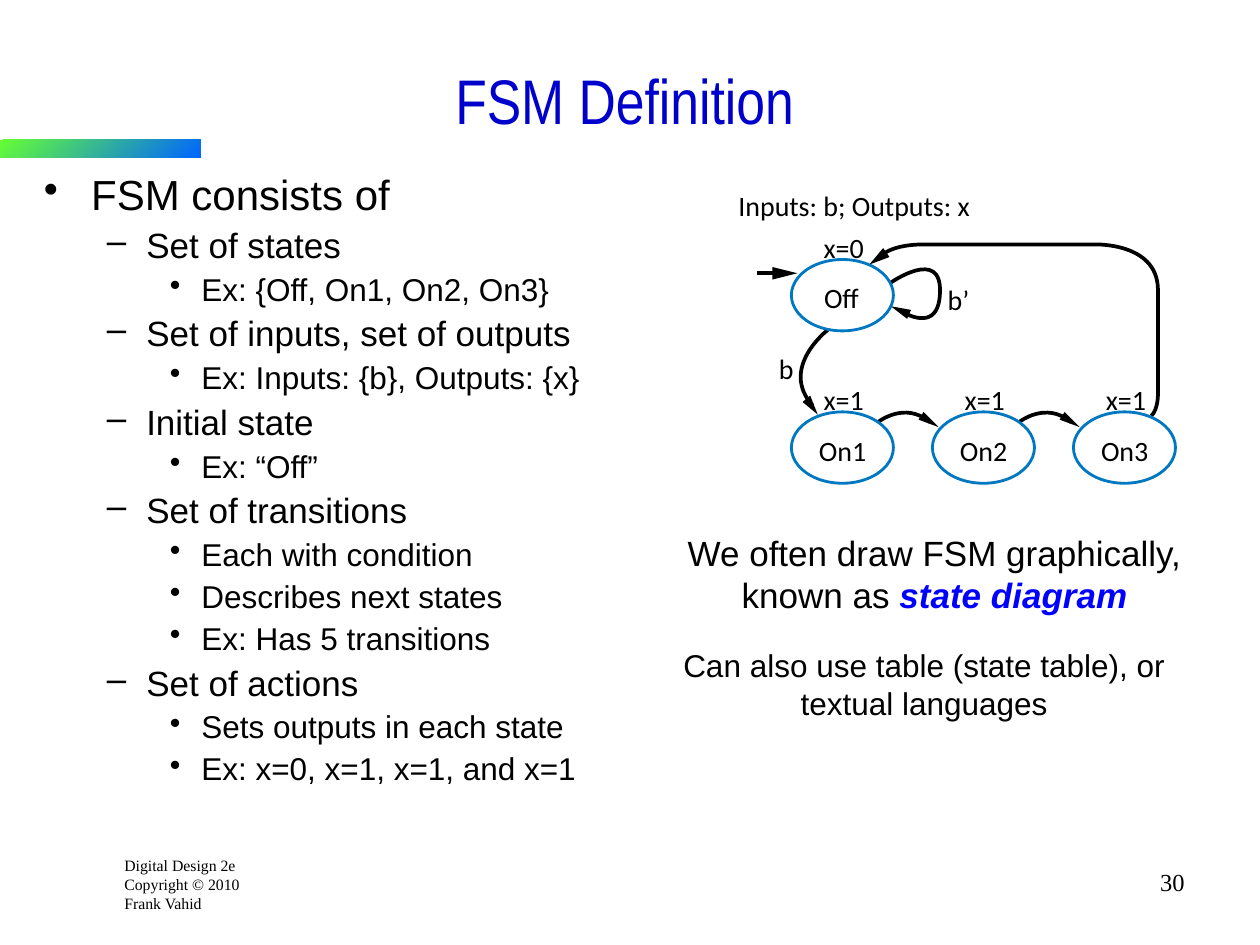
from lxml import etree
from pptx import Presentation
from pptx.dml.color import RGBColor
from pptx.enum.shapes import MSO_CONNECTOR, MSO_SHAPE
from pptx.enum.text import MSO_ANCHOR, MSO_AUTO_SIZE, PP_ALIGN
from pptx.oxml.ns import qn
from pptx.util import Pt

LEFT, CENTER, RIGHT = PP_ALIGN.LEFT, PP_ALIGN.CENTER, PP_ALIGN.RIGHT
TOP, MIDDLE = MSO_ANCHOR.TOP, MSO_ANCHOR.MIDDLE
GROW = MSO_AUTO_SIZE.SHAPE_TO_FIT_TEXT
RECT, OVAL = MSO_SHAPE.RECTANGLE, MSO_SHAPE.OVAL
STRAIGHT = MSO_CONNECTOR.STRAIGHT

COLORS = {"ink": "000000", "title": "0000CC", "term": "0000FF",
          "state": "0078C1", "green": "66FF33", "blue": "0066FF"}
LEVELS = [(24, 27, -27, 6, "•"), (20, 58.5, -22.5, 5, "–"), (18, 90, -18, 4.5, "•")]
OUTLINE = [
    (0, "FSM consists of"),
    (1, "Set of states"),
    (2, "Ex: {Off, On1, On2, On3}"),
    (1, "Set of inputs, set of outputs"),
    (2, "Ex: Inputs: {b}, Outputs: {x}"),
    (1, "Initial state"),
    (2, "Ex: “Off”"),
    (1, "Set of transitions"),
    (2, "Each with condition"),
    (2, "Describes next states"),
    (2, "Ex: Has 5 transitions"),
    (1, "Set of actions"),
    (2, "Sets outputs in each state"),
    (2, "Ex: x=0, x=1, x=1, and x=1"),
]


def color(name):
    """Return the named colour."""
    return RGBColor.from_string(COLORS[name])


def style(run, size, font, tint="ink"):
    """Set the size, face and colour of a run."""
    run.font.size, run.font.name = Pt(size), font
    run.font.color.rgb = color(tint)


def add_text(slide, box, text, size, font, tint="ink", align=LEFT, anchor=TOP):
    """Add a wrapped text box and return its frame."""
    frame = slide.shapes.add_textbox(*map(Pt, box)).text_frame
    frame.word_wrap, frame.vertical_anchor = True, anchor
    frame.text = text
    for para in frame.paragraphs:
        para.alignment = align
        for run in para.runs:
            style(run, size, font, tint)
    return frame


def add_label(slide, x, y, wide, text):
    """Add a diagram label without margins."""
    frame = add_text(slide, (x, y, wide, 19.4), text, 16, "Calibri")
    frame.margin_left = frame.margin_right = 0
    frame.margin_top = frame.margin_bottom = 0
    frame.word_wrap, frame.auto_size = False, GROW


def add_free(slide, x, y, points, closed):
    """Add an outline through points relative to a corner."""
    spots = [(Pt(x + dx), Pt(y + dy)) for dx, dy in points]
    pen = slide.shapes.build_freeform(*spots[0])
    pen.add_line_segments(spots[1:], close=closed)
    shape = pen.convert_to_shape()
    shape.shadow.inherit = False
    return shape


def add_head(slide, x, y, points):
    """Add a solid arrowhead."""
    head = add_free(slide, x, y, points, True)
    head.fill.solid()
    head.fill.fore_color.rgb = color("ink")
    head.line.fill.background()


def add_curve(slide, x, y, points):
    """Add a cubic curve: a start, then three points per segment."""
    curve = add_free(slide, x, y, points, False)
    curve.fill.background()
    curve.line.color.rgb = color("ink")
    curve.line.width = Pt(2.13)
    steps = list(curve.element.iter(qn("a:lnTo")))
    for first, second, third in zip(steps[::3], steps[1::3], steps[2::3]):
        first.tag = qn("a:cubicBezTo")
        first.extend([*second, *third])
        for spare in (second, third):
            spare.getparent().remove(spare)


def add_state(slide, x, y, name, shift, output):
    """Add a state with its name and its output above."""
    add_label(slide, x + shift, y + 12.3, 47.5 - shift, name)
    add_label(slide, x + 18.5, y - 16.8, 26.6, output)
    oval = slide.shapes.add_shape(OVAL, *map(Pt, (x, y, 58.3, 40.8)))
    oval.shadow.inherit = False
    oval.fill.background()
    oval.line.color.rgb = color("state")
    oval.line.width = Pt(1.62)


def add_entry(slide, x, y):
    """Add the arrow into the initial state."""
    line = slide.shapes.add_connector(STRAIGHT, Pt(x), Pt(y), Pt(x + 11.5), Pt(y))
    line.line.color.rgb = color("ink")
    line.line.width = Pt(2.13)
    etree.SubElement(line.element.spPr, qn("a:effectLst"))
    add_head(slide, x, y, [(23, 0), (8.7, -3.6), (8.7, 3.6)])


def add_diagram(slide, x, y):
    """Draw the state diagram from its top left corner."""
    add_label(slide, x, y, 153.4, "Inputs: b; Outputs: x")
    add_entry(slide, x + 10.7, y + 48.2)
    add_curve(slide, x, y, [(51, 80.6), (51, 80.6), (23, 102.2), (42.4, 123.8)])
    add_head(slide, x, y, [(45.3, 128.9), (41, 118.1), (36.6, 121.7)])
    add_curve(slide, x, y, [(94.2, 70.6), (102.2, 74.9), (114.4, 77.8), (115.1, 59.8),
                            (116.6, 32.4), (86.3, 54), (86.3, 54)])
    add_head(slide, x, y, [(87, 67), (96.4, 74.2), (98.6, 69.1)])
    add_curve(slide, x, y, [(83.4, 36.7), (87.8, 33.8), (95, 31.7), (106.5, 31.7),
                            (106.5, 31.7), (203, 31.7), (203, 31.7),
                            (203, 31.7), (239, 30.2), (239.7, 56.9),
                            (239.7, 56.9), (239.7, 118), (239.7, 118),
                            (239.7, 118), (239.7, 126), (236, 129.6)])
    add_head(slide, x, y, [(74.8, 43.2), (86.3, 38.9), (82.7, 33.8)])
    add_label(slide, x + 119.5, y + 53.3, 12.5, "b’")
    add_label(slide, x + 23, y + 92.9, 10, "b")
    left, low, step = x + 30.2, y + 127.4, 80.6
    for i in range(2):
        at = left + i * step
        add_curve(slide, at, low, [(49.6, 5.8), (49.6, 5.8), (64.8, -6.4), (79.2, 5.8)])
        add_head(slide, at, low, [(84.2, 8.7), (75.6, 0), (72.7, 4.4)])
    add_state(slide, left, y + 40.3, "Off", 18.7, "x=0")
    for i in range(3):
        add_state(slide, left + i * step, low, f"On{i + 1}", 15.8, "x=1")


def add_outline(slide, box):
    """Add the bulleted outline."""
    text = "\n".join(line for _, line in OUTLINE)
    frame = add_text(slide, box, text, 18, "Arial")
    for para, (level, _) in zip(frame.paragraphs, OUTLINE):
        size, margin, indent, before, mark = LEVELS[level]
        para.level, para.line_spacing, para.space_before = level, 0.9, Pt(before)
        para.runs[0].font.size = Pt(size)
        props = para._p.get_or_add_pPr()
        props.set("marL", str(Pt(margin)))
        props.set("indent", str(Pt(indent)))
        etree.SubElement(props, qn("a:buChar")).set("char", mark)


def add_notes(slide, x, y):
    """Add the two remarks below the diagram."""
    first = add_text(slide, (x + 6, y, 312, 55.5), "We often draw FSM graphically, known as ",
                     20, "Arial", align=CENTER).paragraphs[0]
    first.space_before = Pt(12.5)
    term = first.add_run()
    term.text = "state diagram"
    style(term, 20, "Arial", "term")
    term.font.bold = term.font.italic = True
    last = add_text(slide, (x, y + 65.5, 312, 50.4),
                    "Can also use table (state table), or textual languages",
                    18, "Arial", align=CENTER).paragraphs[0]
    last.space_before = Pt(11.2)


def add_frame(slide):
    """Add the title, the accent bar and the footer."""
    bar = slide.shapes.add_shape(RECT, *map(Pt, (0, 80, 114.5, 10)))
    bar.shadow.inherit = False
    bar.line.fill.background()
    bar.fill.gradient()
    bar.fill.gradient_angle = 315
    for stop, name in zip(bar.fill.gradient_stops, ("green", "blue")):
        stop.color.rgb = color(name)
    add_text(slide, (18, 24, 678, 66), "FSM Definition", 36, "Arial Narrow",
             "title", CENTER, MIDDLE)
    add_text(slide, (64, 485.3, 81, 39.6), "Digital Design 2e\nCopyright © 2010\nFrank Vahid",
             9, "Times New Roman")
    add_text(slide, (534, 492, 150, 36), "30", 14, "Times New Roman", align=RIGHT)


def main():
    """Build and save the slide."""
    deck = Presentation()
    deck.slide_width, deck.slide_height = Pt(720), Pt(540)
    slide = deck.slides.add_slide(deck.slide_layouts[6])
    add_frame(slide)
    add_outline(slide, (18, 96, 372, 384))
    add_diagram(slide, 422, 108)
    add_notes(slide, 372, 300.3)
    deck.save("out.pptx")


if __name__ == "__main__":
    main()
